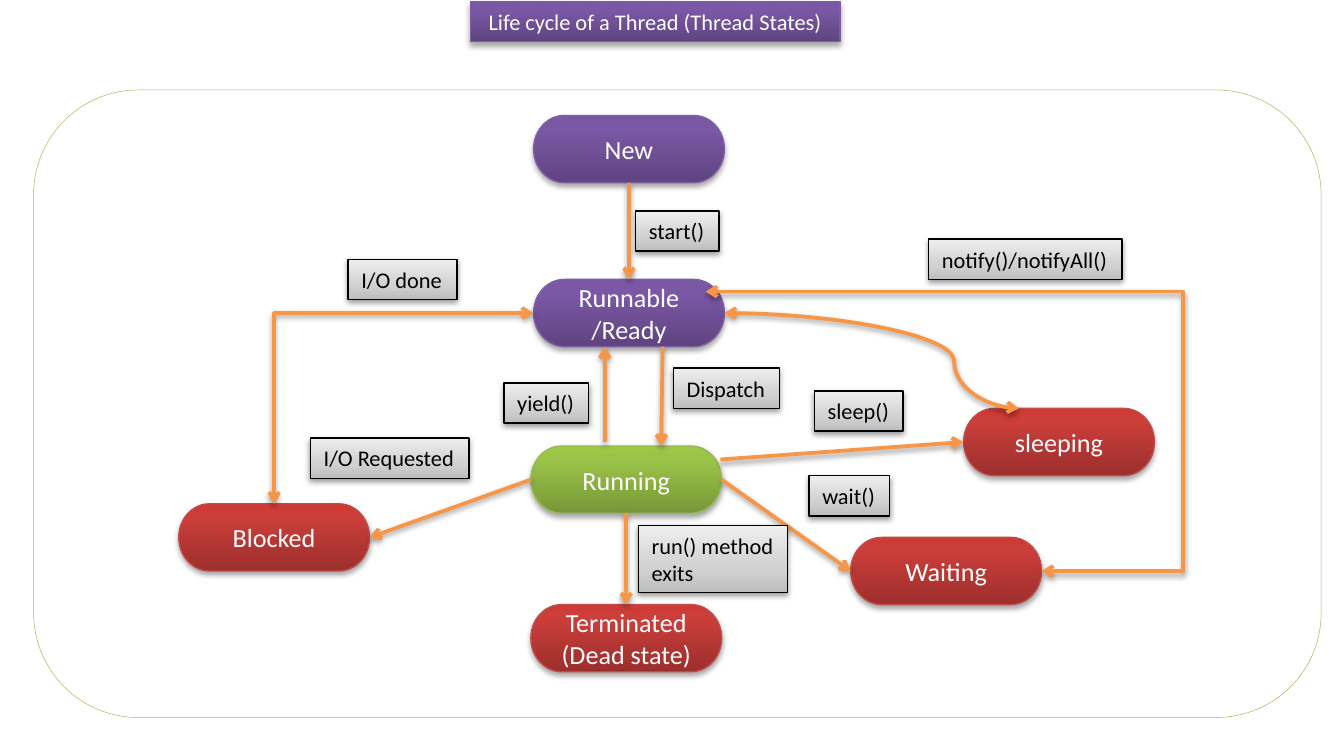
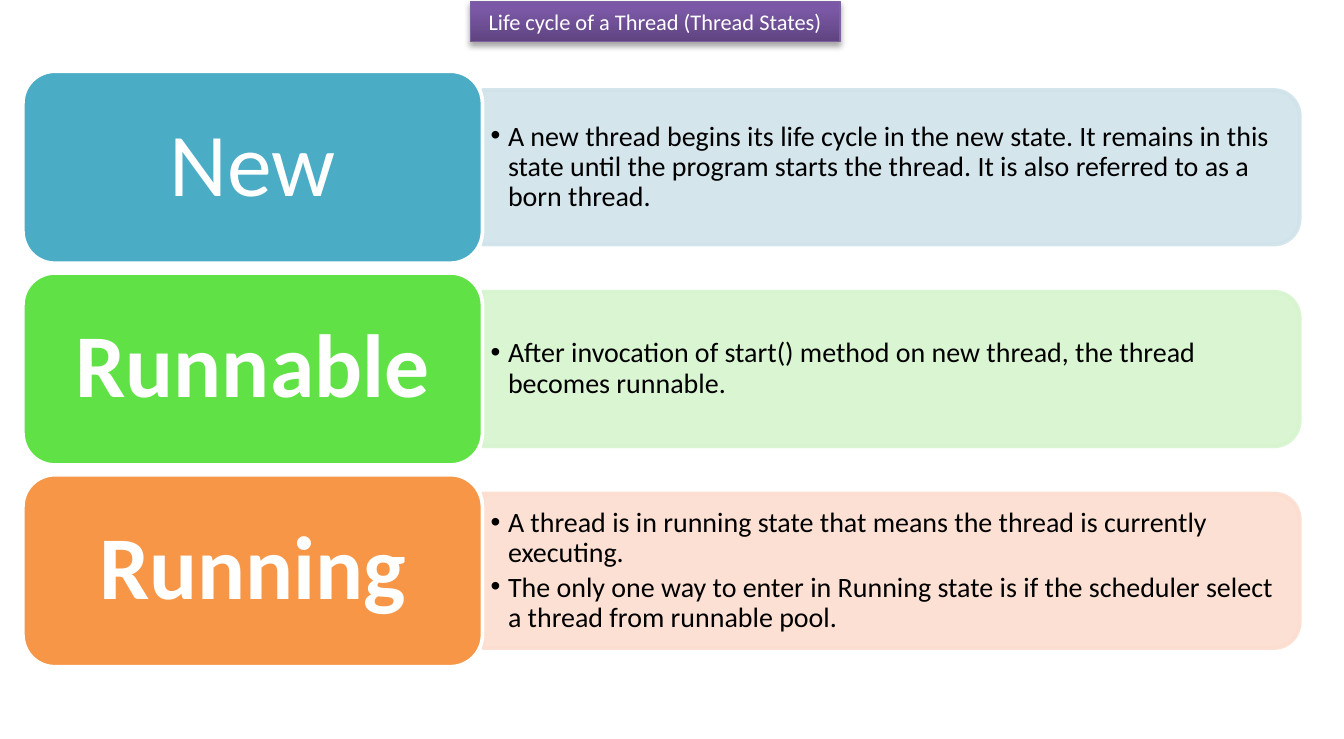
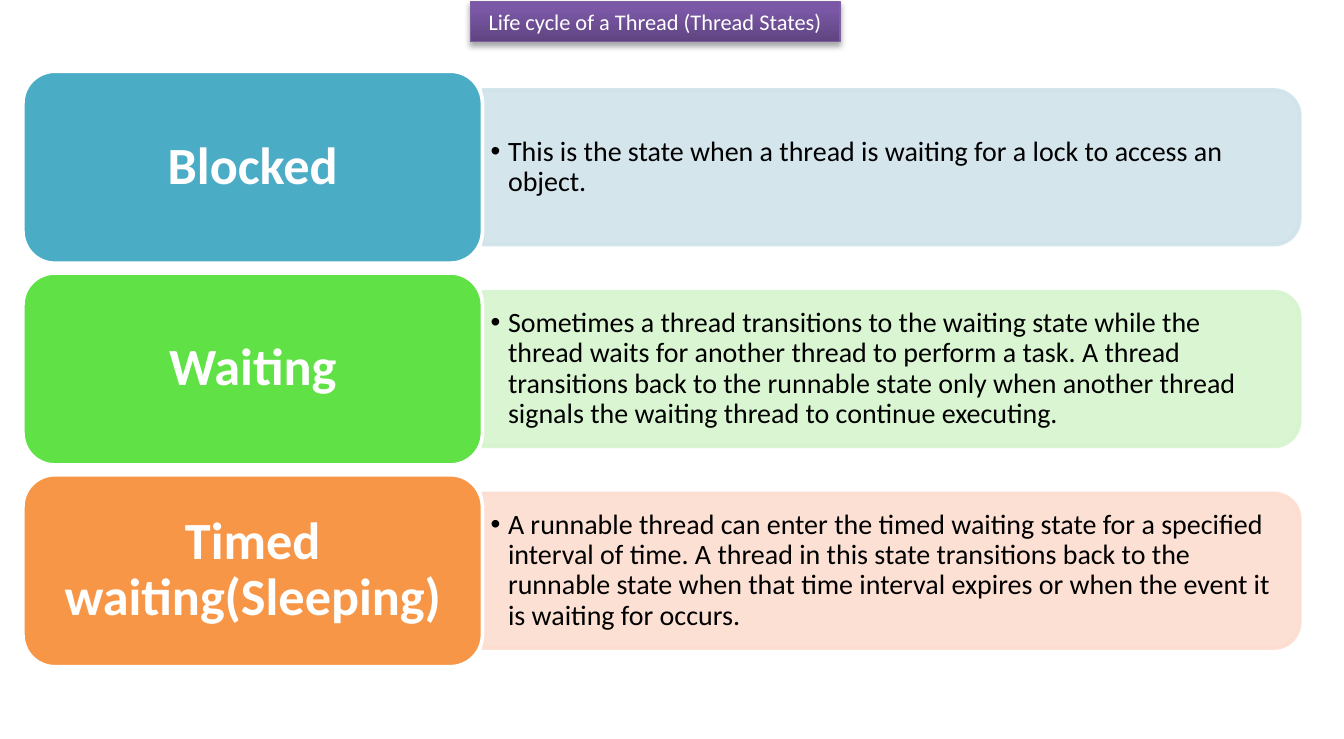
"""Build three slides on the life cycle of a thread."""
from copy import deepcopy

from lxml import etree
from pptx import Presentation
from pptx import util as u
from pptx.dml.color import RGBColor
from pptx.enum import shapes, text
from pptx.oxml import ns

TITLE = "Life cycle of a Thread (Thread States)"
FONT = "Calibri"
COLOURS = {
    "white": "FFFFFF", "black": "000000", "arrow": "F79646", "frame": "9BBB59",
    "blue": "4BACC6", "pale blue": "D0E3EA",
    "green": "60E146", "pale green": "D6F4CE",
    "orange": "F79646", "pale orange": "FCDDCF",
    "purple edge": "7D60A0", "lime edge": "98B955", "red edge": "BF4C48",
}
GRADIENTS = {
    "purple": [(0, "5F4480"), (0.8, "7B58A6"), (1, "7C57A8")],
    "lime": [(0, "779737"), (0.8, "9BC348"), (1, "9DC746")],
    "red": [(0, "9C2F2D"), (0.8, "CB3E3A"), (1, "CE3B37")],
    "grey": [(0, "BDBDBD"), (0.35, "D1D1D1"), (1, "EEEEEE")],
}
STATE_SHADOW = (35, 1.8)
LABEL_SHADOW = (38, 1.6)

STATE_SIZE = (1.42, 0.5)
STATES = [
    ("New", 3.97, 0.86, "purple"),
    ("Runnable\n/Ready", 3.97, 2.08, "purple"),
    ("Running", 3.95, 3.32, "lime"),
    ("Terminated\n(Dead state)", 3.95, 4.5, "red"),
    ("sleeping", 7.17, 3.04, "red"),
    ("Waiting", 6.33, 4, "red"),
    ("Blocked", 1.33, 3.75, "red"),
]
TOP, LEFT, BOTTOM, RIGHT = range(4)
STRAIGHT_ARROWS = [
    (("Running", RIGHT), ("Waiting", LEFT)),
    (("New", BOTTOM), ("Runnable\n/Ready", TOP)),
    (("Running", BOTTOM), ("Terminated\n(Dead state)", TOP)),
    (("Running", LEFT), ("Blocked", RIGHT)),
    ((5.36, 3.42), ("sleeping", LEFT)),
    ((4.93, 2.58), (4.92, 3.32)),
    ((4.5, 3.29), (4.5, 2.58)),
]
TWO_WAY_ARROWS = [
    ("curvedConnector3", (5.39, 2.33), (7.58, 3.04), 78000),
    ("bentConnector3", (5.25, 2.17), (7.75, 4.25), 142100),
    ("bentConnector2", (3.97, 2.33), (2.04, 3.75), None),
]
LABELS = [
    ("start()", 4.73, 1.57, 0.62, 0.3),
    ("wait()", 6.02, 3.54, 0.6, 0.3),
    ("sleep()", 6.06, 2.91, 0.66, 0.3),
    ("I/O Requested", 2.31, 3.26, 1.18, 0.3),
    ("I/O done", 2.59, 1.93, 0.81, 0.3),
    ("notify()/notifyAll()", 6.91, 1.78, 1.44, 0.3),
    ("Dispatch", 5.01, 2.74, 0.79, 0.3),
    ("yield()", 3.75, 2.85, 0.63, 0.3),
    ("run() method\nexits", 4.75, 3.91, 1.11, 0.5),
]

ROW_COLOURS = ["blue", "green", "orange"]
CARD_LEFT, CARD_TOP, CARD_WIDTH, CARD_HEIGHT = 0.17, 0.53, 3.42, 1.43
ROW_PITCH = CARD_HEIGHT * 1.05
PANEL_WIDTH, PANEL_HEIGHT = 6.08, 1.15
LIST_WIDTH, LIST_HEIGHT, LIST_INDENT = 6.01, 1.03, 0.13
DEFINITIONS = [
    (48, (0.2, 0.1), [
        ("New", False, "A new thread begins its life cycle in the new state. It remains in this "
         "state until the program starts the thread. It is also referred to as a born thread."),
        ("Runnable", True, "After invocation of start() method on new thread, the thread "
         "becomes runnable."),
        ("Running", True, "A thread is in running state that means the thread is currently "
         "executing.\nThe only one way to enter in Running state is if the scheduler select "
         "a thread from runnable pool."),
    ]),
    (28, (0.12, 0.06), [
        ("Blocked", True, "This is the state when a thread is waiting for a lock to access "
         "an object."),
        ("Waiting", True, "Sometimes a thread transitions to the waiting state while the thread "
         "waits for another thread to perform a task. A thread transitions back to the runnable "
         "state only when another thread signals the waiting thread to continue executing."),
        ("Timed waiting(Sleeping)", True, "A runnable thread can enter the timed waiting state "
         "for a specified interval of time. A thread in this state transitions back to the "
         "runnable state when that time interval expires or when the event it is waiting for "
         "occurs."),
    ]),
]


def rgb(name):
    return RGBColor.from_string(COLOURS[name])


def inches(*lengths):
    return [u.Inches(length) for length in lengths]


def place(shape, left, top, width, height):
    shape.left, shape.top, shape.width, shape.height = inches(left, top, width, height)


def write(shape, words, size, colour, align, anchor, bold=False):
    frame = shape.text_frame
    frame.text = words
    frame.vertical_anchor = anchor
    for para in frame.paragraphs:
        para.alignment = align
        for span in para.runs:
            span.font.name, span.font.size, span.font.bold = FONT, u.Pt(size), bold
            span.font.color.rgb = rgb(colour)


def set_insets(frame, across, down):
    frame.margin_left = frame.margin_right = u.Inches(across)
    frame.margin_top = frame.margin_bottom = u.Inches(down)


def outline(shape, colour, width):
    shape.line.color.rgb = rgb(colour)
    shape.line.width = u.Pt(width)


def paint_flat(shape, fill, line, width):
    shape.shadow.inherit = False
    shape.fill.solid()
    shape.fill.fore_color.rgb = rgb(fill)
    outline(shape, line, width)


def add_shadow(effects, opacity, distance):
    shadow = etree.SubElement(effects, ns.qn("a:outerShdw"), blurRad=str(u.Pt(3.1)),
                              dist=str(u.Pt(distance)), dir="5400000", rotWithShape="0")
    tint = etree.SubElement(shadow, ns.qn("a:srgbClr"), val=COLOURS["black"])
    etree.SubElement(tint, ns.qn("a:alpha"), val=str(opacity * 1000))


def paint_gradient(shape, gradient, line, shadow):
    shape.fill.gradient()
    shape.fill.gradient_angle = 90
    stops = shape.element.spPr.find(".//" + ns.qn("a:gsLst"))
    stops.append(deepcopy(stops[0]))
    for stop, (position, colour) in zip(shape.fill.gradient_stops, GRADIENTS[gradient]):
        stop.position = position
        stop.color.rgb = RGBColor.from_string(colour)
    outline(shape, line, 0.75)
    shape.shadow.inherit = False
    add_shadow(shape.element.spPr.find(ns.qn("a:effectLst")), *shadow)


def add_page(deck, layout):
    page = deck.slides.add_slide(deck.slide_layouts.get_by_name(layout))
    title = page.shapes.title
    place(title, 3.5, 0.01, 2.75, 0.3)
    paint_gradient(title, "purple", "purple edge", STATE_SHADOW)
    write(title, TITLE, 12, "white", text.PP_ALIGN.CENTER, text.MSO_ANCHOR.TOP)
    title.text_frame.auto_size = text.MSO_AUTO_SIZE.NONE
    return page


def add_arrow(page, kind, start, end, tips=("tailEnd",)):
    arrow = page.shapes.add_connector(kind, *inches(*start, *end))
    outline(arrow, "arrow", 2)
    line = arrow.element.spPr.find(ns.qn("a:ln"))
    for tip in tips:
        etree.SubElement(line, ns.qn("a:" + tip), type="arrow")
    add_shadow(etree.SubElement(arrow.element.spPr, ns.qn("a:effectLst")), *LABEL_SHADOW)
    return arrow


def add_state(page, words, left, top, gradient):
    state = page.shapes.add_shape(shapes.MSO_SHAPE.FLOWCHART_TERMINATOR,
                                  *inches(left, top, *STATE_SIZE))
    paint_gradient(state, gradient, gradient + " edge", STATE_SHADOW)
    write(state, words, 14, "white", text.PP_ALIGN.CENTER, text.MSO_ANCHOR.MIDDLE)
    return state


def add_straight_arrow(page, states, *ends):
    points = [(0, 0) if end[0] in states else end for end in ends]
    arrow = add_arrow(page, shapes.MSO_CONNECTOR.STRAIGHT, *points)
    for (name, side), connect in zip(ends, (arrow.begin_connect, arrow.end_connect)):
        if name in states:
            connect(states[name], side)


def add_two_way_arrow(page, preset, start, end, bend):
    arrow = add_arrow(page, shapes.MSO_CONNECTOR.ELBOW, start, end, ("headEnd", "tailEnd"))
    geometry = arrow.element.spPr.find(ns.qn("a:prstGeom"))
    geometry.set("prst", preset)
    if bend is not None:
        etree.SubElement(geometry.find(ns.qn("a:avLst")), ns.qn("a:gd"),
                         name="adj1", fmla=f"val {bend}")


def add_label(page, words, *box):
    label = page.shapes.add_textbox(*inches(*box))
    paint_gradient(label, "grey", "black", LABEL_SHADOW)
    write(label, words, 12, "black", text.PP_ALIGN.LEFT, text.MSO_ANCHOR.TOP)
    label.text_frame.word_wrap = False
    label.text_frame.auto_size = text.MSO_AUTO_SIZE.SHAPE_TO_FIT_TEXT


def build_diagram(deck):
    page = add_page(deck, "Title Only")
    frame = page.shapes.add_shape(shapes.MSO_SHAPE.ROUNDED_RECTANGLE,
                                  *inches(0.25, 0.67, 9.58, 4.67))
    paint_flat(frame, "white", "frame", 0.25)
    states = {state[0]: add_state(page, *state) for state in STATES}
    for ends in STRAIGHT_ARROWS:
        add_straight_arrow(page, states, *ends)
    for arrow in TWO_WAY_ARROWS:
        add_two_way_arrow(page, *arrow)
    for label in LABELS:
        add_label(page, *label)


def add_panel(page, middle, colour):
    left = CARD_LEFT + CARD_WIDTH + (PANEL_WIDTH - PANEL_HEIGHT) / 2
    panel = page.shapes.add_shape(shapes.MSO_SHAPE.ROUND_2_SAME_RECTANGLE, *inches(
        left, middle - PANEL_WIDTH / 2, PANEL_HEIGHT, PANEL_WIDTH))
    panel.rotation = 90
    paint_flat(panel, colour, colour, 2)
    for tint in panel.element.spPr.iter(ns.qn("a:srgbClr")):
        etree.SubElement(tint, ns.qn("a:alpha"), val="90000")


def fill_list(body, middle, words):
    body.element.getparent().append(body.element)
    place(body, CARD_LEFT + CARD_WIDTH, middle - LIST_HEIGHT / 2, LIST_WIDTH, LIST_HEIGHT)
    write(body, words, 15, "black", text.PP_ALIGN.LEFT, text.MSO_ANCHOR.MIDDLE)
    set_insets(body.text_frame, 0.06, 0.03)
    body.text_frame.auto_size = text.MSO_AUTO_SIZE.NONE
    for para in body.text_frame.paragraphs:
        para.line_spacing, para.space_before, para.space_after = 0.9, u.Pt(0), u.Pt(2.25)
    for settings in body.element.iter(ns.qn("a:pPr")):
        settings.set("marL", str(u.Inches(LIST_INDENT)))
        settings.set("indent", str(u.Inches(-LIST_INDENT)))
        etree.SubElement(settings, ns.qn("a:buChar"), char="•")


def add_card(page, top, colour, name, size, bold, insets):
    card = page.shapes.add_shape(shapes.MSO_SHAPE.ROUNDED_RECTANGLE,
                                 *inches(CARD_LEFT, top, CARD_WIDTH, CARD_HEIGHT))
    paint_flat(card, colour, "white", 2)
    write(card, name, size, "white", text.PP_ALIGN.CENTER, text.MSO_ANCHOR.MIDDLE, bold)
    set_insets(card.text_frame, *insets)
    card.text_frame.paragraphs[0].line_spacing = 0.9


def build_definitions(deck, size, insets, rows):
    page = add_page(deck, "Comparison")
    bodies = [body for body in page.placeholders if body.placeholder_format.idx in range(1, 5)]
    for index, ((name, bold, words), colour) in enumerate(zip(rows, ROW_COLOURS)):
        top = CARD_TOP + index * ROW_PITCH
        middle = top + CARD_HEIGHT / 2
        add_panel(page, middle, "pale " + colour)
        fill_list(bodies[index], middle, words)
        add_card(page, top, colour, name, size, bold, insets)
    for spare in bodies[len(rows):]:
        spare.element.getparent().remove(spare.element)


def main():
    deck = Presentation()
    deck.slide_width, deck.slide_height = inches(10, 5.5)
    build_diagram(deck)
    for definition in DEFINITIONS:
        build_definitions(deck, *definition)
    deck.save("out.pptx")


if __name__ == "__main__":
    main()
